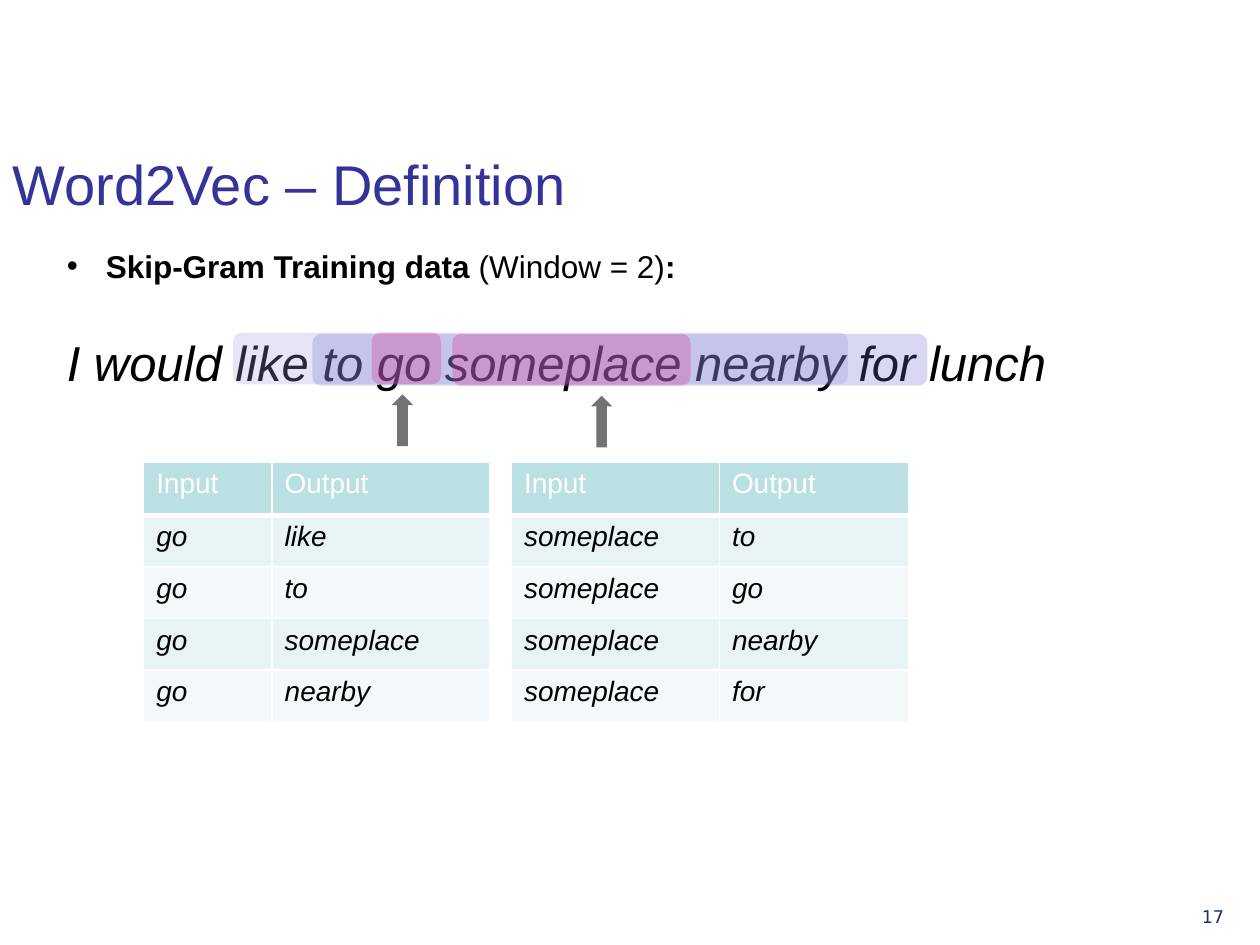
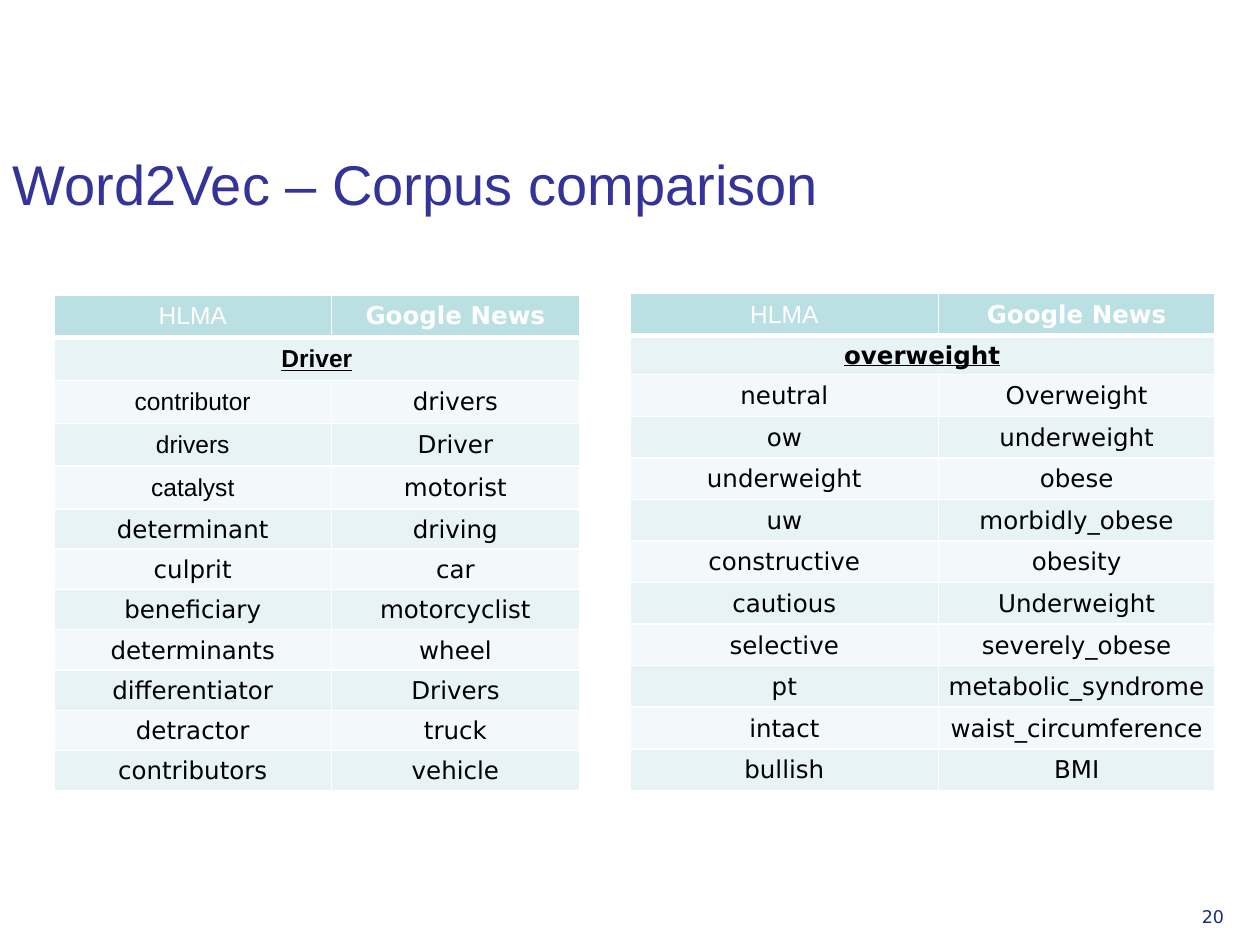
import lxml.etree
import pptx
import pptx.dml.color
import pptx.enum.shapes
import pptx.enum.text
import pptx.oxml.ns
import pptx.util

Inches = pptx.util.Inches
ALIGN = pptx.enum.text.PP_ALIGN
ANCHOR = pptx.enum.text.MSO_ANCHOR
SHAPE = pptx.enum.shapes.MSO_SHAPE
COLORS = {
    "title": "333399",
    "number": "152E82",
    "text": "000000",
    "white": "FFFFFF",
    "header": "BBE0E3",
    "band_dark": "E7F3F4",
    "band_light": "F3F9FA",
    "go_window": "9C9CDF",
    "someplace_window": "6B6BCF",
    "focus": "FF0066",
}
SANS, WIDE = "Arial", "DejaVu Sans"
SLIDE_TITLE_BOX = (0, 0.68, 8.83, 1.09)
NUMBER_BOX = (9.44, 7.14, 0.55, 0.39)
DRIVER_WORDS = [
    ("contributor", "drivers"), ("drivers", "Driver"), ("catalyst", "motorist"),
    ("determinant", "driving"), ("culprit", "car"), ("beneficiary", "motorcyclist"),
    ("determinants", "wheel"), ("differentiator", "Drivers"), ("detractor", "truck"),
    ("contributors", "vehicle"),
]
OVERWEIGHT_WORDS = [
    ("neutral", "Overweight"), ("ow", "underweight"), ("underweight", "obese"),
    ("uw", "morbidly_obese"), ("constructive", "obesity"), ("cautious", "Underweight"),
    ("selective", "severely_obese"), ("pt", "metabolic_syndrome"),
    ("intact", "waist_circumference"), ("bullish", "BMI"),
]


def rgb(name):
    """Return the named colour."""
    return pptx.dml.color.RGBColor.from_string(COLORS[name])


def sub(parent, tag, **attributes):
    """Append a namespaced child element and return it."""
    return lxml.etree.SubElement(parent, pptx.oxml.ns.qn(tag), attributes)


def write(paragraph, text, size=18, font=SANS, color="text", bold=False,
          italic=False, underline=False, align=ALIGN.LEFT):
    """Add a formatted run to a paragraph."""
    paragraph.alignment = align
    run = paragraph.add_run()
    run.text = text
    run.font.size = pptx.util.Pt(size)
    run.font.name = font
    run.font.color.rgb = rgb(color)
    run.font.bold, run.font.italic, run.font.underline = bold, italic, underline


def place(shape, box):
    """Move a shape to a box given in inches."""
    shape.left, shape.top, shape.width, shape.height = map(Inches, box)


def add_framed_slide(prs, layout_index, title, number):
    """Add a slide with the shared title and slide number."""
    slide = prs.slides.add_slide(prs.slide_layouts[layout_index])
    heading = slide.shapes.title
    place(heading, SLIDE_TITLE_BOX)
    heading.text_frame.vertical_anchor = ANCHOR.BOTTOM
    heading.text_frame.auto_size = pptx.enum.text.MSO_AUTO_SIZE.NONE
    write(heading.text_frame.paragraphs[0], title, size=32, color="title")
    number_box = slide.shapes.add_textbox(*map(Inches, NUMBER_BOX))
    number_box.text_frame.word_wrap = True
    write(number_box.text_frame.paragraphs[0], number, size=10, font=WIDE, color="number")
    return slide


def draw_borders(cell, bottom):
    """Give a cell white borders, with its own bottom width in points."""
    properties = cell._tc.get_or_add_tcPr()
    for edge, width in (("L", 1), ("R", 1), ("T", 1), ("B", bottom)):
        line = sub(properties, f"a:ln{edge}", w=str(pptx.util.Pt(width)))
        sub(sub(line, "a:solidFill"), "a:srgbClr", val=COLORS["white"])


def add_banded_table(slide, left, top, widths, heights):
    """Add a table with a coloured header and alternating bands."""
    frame = slide.shapes.add_table(len(heights), len(widths), Inches(left), Inches(top),
                                   Inches(sum(widths)), Inches(sum(heights)))
    table = frame.table
    for column, width in zip(table.columns, widths):
        column.width = Inches(width)
    for index, (row, height) in enumerate(zip(table.rows, heights)):
        row.height = Inches(height)
        band = "header" if index == 0 else "band_dark" if index % 2 else "band_light"
        for cell in row.cells:
            draw_borders(cell, bottom=1 if index else 3)
            cell.fill.solid()
            cell.fill.fore_color.rgb = rgb(band)
    return table


def add_pair_table(slide, left, top, widths, center_word, context_words):
    """Add the training pairs of one centre word."""
    table = add_banded_table(slide, left, top, widths, [0.42] + [0.41] * 4)
    pairs = [("Input", "Output")] + [(center_word, word) for word in context_words]
    for row, pair in enumerate(pairs):
        for column, word in enumerate(pair):
            write(table.cell(row, column).text_frame.paragraphs[0], word, size=16,
                  color="text" if row else "white", italic=row > 0)


def write_centered(cell, text, tight=False, **text_format):
    """Write centred text in a cell, with narrow margins if tight."""
    cell.vertical_anchor = ANCHOR.MIDDLE
    if tight:
        cell.margin_left = cell.margin_right = cell.margin_top = Inches(0.01)
        cell.margin_bottom = 0
    write(cell.text_frame.paragraphs[0], text, size=14, align=ALIGN.CENTER, **text_format)


def add_corpus_table(slide, left, top, widths, heights, query, neighbors, sans_rows):
    """Add the nearest words to a query; sans_rows counts first-column rows in sans."""
    table = add_banded_table(slide, left, top, widths, heights)
    write_centered(table.cell(0, 0), "HLMA", color="white")
    write_centered(table.cell(0, 1), "Google News", font=WIDE, color="white", bold=True)
    table.cell(1, 0).merge(table.cell(1, 1))
    for row, words in enumerate([(query,)] + neighbors, start=1):
        for column, word in enumerate(words):
            sans = column == 0 and row <= sans_rows
            write_centered(table.cell(row, column), word, tight=not sans,
                           font=SANS if sans else WIDE, bold=row == 1, underline=row == 1)


def add_tint(slide, kind, box, color, opacity):
    """Add a translucent shape without outline."""
    tint = slide.shapes.add_shape(kind, *map(Inches, box))
    tint.shadow.inherit = False
    tint.line.fill.background()
    tint.fill.solid()
    tint.fill.fore_color.rgb = rgb(color)
    srgb = tint.fill._xPr.find(".//" + pptx.oxml.ns.qn("a:srgbClr"))
    sub(srgb, "a:alpha", val=str(opacity * 1000))


def add_sentence(slide, box):
    """Fill the body with the heading and the example sentence."""
    body = slide.placeholders[1]
    place(body, box)
    frame = body.text_frame
    frame.auto_size = pptx.enum.text.MSO_AUTO_SIZE.NONE
    frame.margin_top = Inches(0.1)
    heading, sentence = frame.paragraphs[0], frame.add_paragraph()
    indent = Inches(0.31)
    bullet = heading._p.get_or_add_pPr()
    bullet.set("marL", str(indent))
    bullet.set("indent", str(-indent))
    sub(bullet, "a:buFont", typeface=SANS)
    sub(bullet, "a:buChar", char="•")
    plain = sentence._p.get_or_add_pPr()
    plain.set("marL", "0")
    plain.set("indent", "0")
    sub(plain, "a:buNone")
    heading.space_before = pptx.util.Pt(0)
    sentence.space_before = pptx.util.Pt(27)
    write(heading, "Skip-Gram Training data ", bold=True)
    write(heading, "(Window = 2)")
    write(heading, ":", bold=True)
    write(sentence, "I would like to go someplace nearby for lunch", size=28, italic=True)


def add_windows(slide, left, top):
    """Tint both context windows and point at their centre words."""
    tints = [
        (0, 0, 4.88, "go_window"), (1.1, 0, 0.55, "focus"),
        (1.74, 0.01, 1.89, "focus"), (0.63, 0.01, 4.88, "someplace_window"),
    ]
    for dx, dy, width, color in tints:
        add_tint(slide, SHAPE.ROUNDED_RECTANGLE, (left + dx, top + dy, width, 0.41), color, 26)
    for dx, dy in ((1.26, 0.49), (2.84, 0.5)):
        add_tint(slide, SHAPE.UP_ARROW, (left + dx, top + dy, 0.17, 0.41), "text", 55)


def build_definition(prs):
    """Build the slide on skip-gram training data."""
    slide = add_framed_slide(prs, 1, "Word2Vec – Definition", "17")
    add_sentence(slide, (0.43, 1.86, 9.13, 1.97))
    add_windows(slide, 1.85, 2.64)
    add_pair_table(slide, 1.14, 3.67, [1.02, 1.73], "go",
                   ["like", "to", "someplace", "nearby"])
    add_pair_table(slide, 4.06, 3.67, [1.65, 1.5], "someplace",
                   ["to", "go", "nearby", "for"])


def build_comparison(prs):
    """Build the slide comparing two corpora."""
    slide = add_framed_slide(prs, 5, "Word2Vec – Corpus comparison", "20")
    add_corpus_table(slide, 0.43, 2.34, [2.2, 1.97], [0.34] * 5 + [0.32] * 7,
                     "Driver", DRIVER_WORDS, sans_rows=4)
    add_corpus_table(slide, 5, 2.33, [2.45, 2.19], [0.33, 0.31] + [0.33] * 10,
                     "overweight", OVERWEIGHT_WORDS, sans_rows=0)


def main():
    """Build and save the presentation."""
    prs = pptx.Presentation()
    prs.slide_width, prs.slide_height = Inches(10), Inches(7.5)
    build_definition(prs)
    build_comparison(prs)
    prs.save("out.pptx")


if __name__ == "__main__":
    main()
